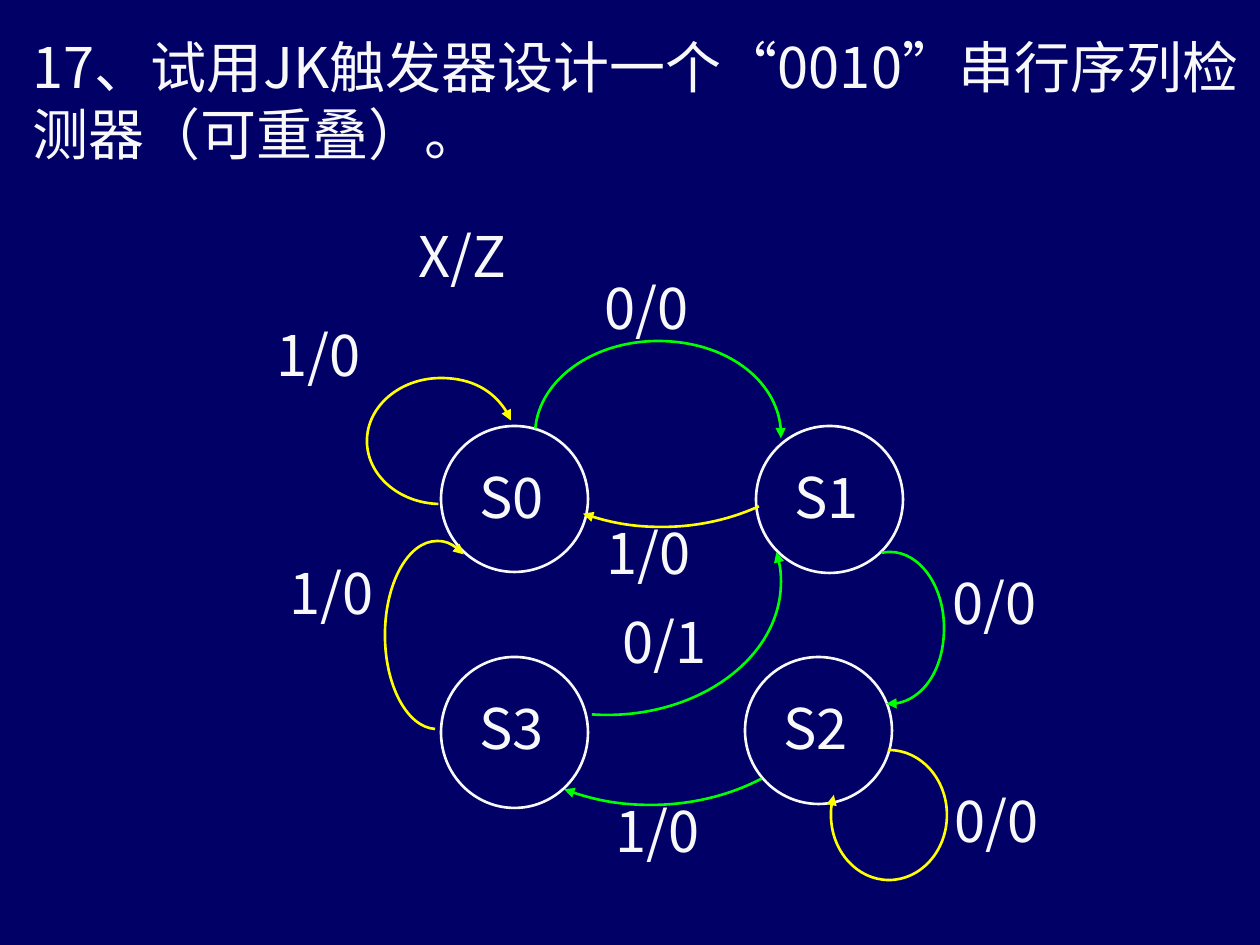
from copy import deepcopy
from math import cos, sin, tan, radians
from lxml import etree
from pptx import Presentation, util as u
from pptx.dml.color import RGBColor
from pptx.enum import shapes, text
from pptx.oxml.ns import qn

PX = 914400 // 126
SANS, SERIF = "Noto Sans CJK SC", "Times New Roman"
WHITE, GREEN, YELLOW, NAVY = "F8F8F8", "00FF00", "FFFF00", "000066"

TITLE = [("17、试用JK触发器设计一个", SANS), ("“", SERIF), ("0010", SANS),
         ("”", SERIF), ("串行序列检测器（可重叠）。", SANS)]

# left, top, width, height
STATES = [(441, 426, 147, 146), (756, 426, 147, 147),
          (745, 657, 147, 147), (441, 657, 147, 151)]

# text, left, top, width
LABELS = [("S0", 467, 456, 92), ("S1", 782, 456, 92),
          ("S2", 771, 687, 92), ("S3", 467, 687, 92),
          ("X/Z", 406, 215, 126), ("1/0", 264, 314, 126),
          ("0/0", 592, 267, 126), ("0/0", 940, 562, 112),
          ("1/0", 594, 512, 126), ("0/0", 942, 780, 126),
          ("0/1", 610, 601, 115), ("1/0", 603, 790, 112),
          ("1/0", 277, 552, 126)]

# centre x, centre y, radius x, radius y, start angle, end angle, colour
ARCS = [(441, 441, 74, 63, 92, 341, YELLOW),
        (658, 435, 123, 94, 184, 362, GREEN),
        (890, 628, 54, 76, -99, 94, GREEN),
        (662, 373, 194, 154, 60, 114, YELLOW),
        (607, 582, 174, 133, 95, -13, GREEN),
        (889, 815, 58, 65, -91, 198, YELLOW),
        (651, 651, 198, 154, 56, 116, GREEN),
        (437, 635, 52, 94, 92, 301, YELLOW)]


def rgb(code):
    return RGBColor.from_string(code)


def place(*box):
    return [n * PX for n in box]


def style(run, face=SANS):
    font = run.font
    font.size, font.name = u.Pt(32), face
    font.color.rgb = rgb(WHITE)
    east = etree.SubElement(run._r.get_or_add_rPr(), qn("a:ea"))
    east.set("typeface", SANS)


def outline(shape, color):
    shape.shadow.inherit = False
    shape.fill.background()
    shape.line.color.rgb = rgb(color)
    shape.line.width = u.Pt(1.5)


def curve(cx, cy, rx, ry, start, end):
    low, high = sorted((start, end))
    cuts = [low, *[a for a in range(-90, 361, 90) if low < a < high], high]
    if start > end:
        cuts.reverse()

    def dot(turn, pull=0):
        x = cos(turn) - pull * sin(turn)
        y = sin(turn) + pull * cos(turn)
        return round((cx + rx * x) * PX), round((cy + ry * y) * PX)

    dots = [dot(radians(start))]
    for a, b in zip(cuts, cuts[1:]):
        a, b = radians(a), radians(b)
        pull = 4 / 3 * tan((b - a) / 4)
        dots += [dot(a, pull), dot(b, -pull), dot(b)]
    return dots


def bend(arc):
    trace = next(arc._element.iter(qn("a:path")))
    *lines, spoke = trace.findall(qn("a:lnTo"))
    for i in range(0, len(lines), 3):
        piece = etree.Element(qn("a:cubicBezTo"))
        spoke.addprevious(piece)
        for line in lines[i:i + 3]:
            piece.append(line[0])
            trace.remove(line)
    wedge = deepcopy(trace)
    etree.SubElement(wedge, qn("a:close"))
    wedge.set("stroke", "0")
    trace.addnext(wedge)
    trace.remove(spoke)
    trace.set("fill", "none")


def add_arc(slide, cx, cy, rx, ry, start, end, color):
    dots = curve(cx, cy, rx, ry, start, end)
    pen = slide.shapes.build_freeform(*dots[0])
    pen.add_line_segments(dots[1:] + [(cx * PX, cy * PX)], close=False)
    arc = pen.convert_to_shape()
    bend(arc)
    outline(arc, color)
    tip = etree.SubElement(arc.line._get_or_add_ln(), qn("a:tailEnd"))
    tip.set("type", "triangle")


def add_label(slide, words, left, top, width):
    frame = slide.shapes.add_textbox(*place(left, top, width, 81)).text_frame
    frame.word_wrap = False
    frame.auto_size = text.MSO_AUTO_SIZE.SHAPE_TO_FIT_TEXT
    frame.text = words
    style(frame.paragraphs[0].runs[0])


def add_title(slide):
    title = slide.shapes.title
    title.left, title.top, title.width, title.height = place(20, 26, 1235, 147)
    frame = title.text_frame
    frame.word_wrap = True
    frame.auto_size = text.MSO_AUTO_SIZE.NONE
    frame.vertical_anchor = text.MSO_ANCHOR.TOP
    para = frame.paragraphs[0]
    para.alignment = text.PP_ALIGN.LEFT
    for words, face in TITLE:
        run = para.add_run()
        run.text = words
        style(run, face)


def main():
    deck = Presentation()
    deck.slide_width, deck.slide_height = place(1260, 945)
    slide = deck.slides.add_slide(deck.slide_layouts[5])
    back = slide.background.fill
    back.solid()
    back.fore_color.rgb = rgb(NAVY)
    add_title(slide)
    for box in STATES:
        oval = slide.shapes.add_shape(shapes.MSO_SHAPE.OVAL, *place(*box))
        outline(oval, WHITE)
    for arc in ARCS:
        add_arc(slide, *arc)
    for label in LABELS:
        add_label(slide, *label)
    deck.save("out.pptx")


if __name__ == "__main__":
    main()
